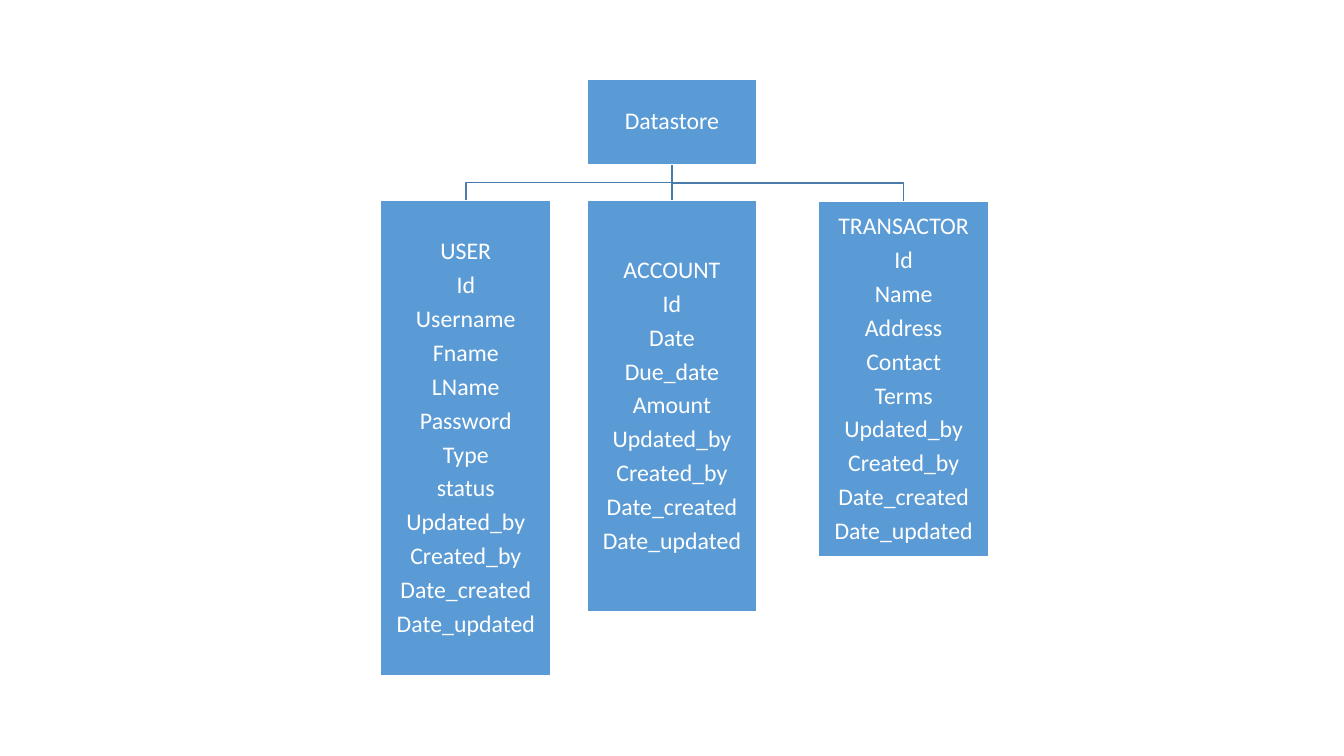
"""Build a slide showing a datastore and the fields of its three tables."""
from dataclasses import dataclass

from lxml import etree
from pptx import Presentation
from pptx import util as u
from pptx.dml.color import RGBColor
from pptx.enum import shapes, text
from pptx.oxml import ns
from pptx.slide import Slide

BLUE = RGBColor(0x5B, 0x9B, 0xD5)
LINK_BLUE = RGBColor(0x49, 0x7C, 0xAB)
WHITE = RGBColor(0xFF, 0xFF, 0xFF)
BOX_WIDTH = 121.5
INSET = u.Pt(0.85)
AUDIT_FIELDS = ("Updated_by", "Created_by", "Date_created", "Date_updated")


@dataclass(frozen=True)
class Entity:
    left: float
    top: float
    height: float
    lines: tuple[str, ...]

    @property
    def center(self) -> float:
        return self.left + BOX_WIDTH / 2

    @property
    def bottom(self) -> float:
        return self.top + self.height


DATASTORE = Entity(419.25, 57, 60.5, ("Datastore",))
USER = Entity(272, 143.3, 339.7, (
    "USER", "Id", "Username", "Fname", "LName", "Password", "Type", "status", *AUDIT_FIELDS))
ACCOUNT = Entity(419.25, 143.3, 293.7, (
    "ACCOUNT", "Id", "Date", "Due_date", "Amount", *AUDIT_FIELDS))
TRANSACTOR = Entity(584.75, 144, 254, (
    "TRANSACTOR", "Id", "Name", "Address", "Contact", "Terms", *AUDIT_FIELDS))


def draw_link(page: Slide, parent: Entity, child: Entity) -> None:
    """Join a parent to a child, bending halfway when they are not aligned."""
    start = (u.Pt(parent.center), u.Pt(parent.bottom))
    end = (u.Pt(child.center), u.Pt(child.top))
    if parent.center == child.center:
        link = page.shapes.add_connector(shapes.MSO_CONNECTOR.STRAIGHT, *start, *end)
        etree.SubElement(link._element.spPr, ns.qn("a:effectLst"))
    else:
        bend = u.Pt((parent.bottom + child.top) / 2)
        builder = page.shapes.build_freeform(*start)
        builder.add_line_segments([(start[0], bend), (end[0], bend), end], close=False)
        link = builder.convert_to_shape()
        link.fill.background()
        link.shadow.inherit = False
    link.line.color.rgb = LINK_BLUE
    link.line.width = u.Pt(1)


def draw_entity(page: Slide, entity: Entity) -> None:
    """Draw a box with its lines of text centred inside."""
    box = page.shapes.add_shape(
        shapes.MSO_SHAPE.RECTANGLE,
        u.Pt(entity.left), u.Pt(entity.top), u.Pt(BOX_WIDTH), u.Pt(entity.height))
    box.shadow.inherit = False
    box.fill.solid()
    box.fill.fore_color.rgb = BLUE
    box.line.color.rgb = WHITE
    box.line.width = u.Pt(1)
    frame = box.text_frame
    frame.word_wrap = True
    frame.vertical_anchor = text.MSO_ANCHOR.MIDDLE
    frame.margin_left = frame.margin_right = INSET
    frame.margin_top = frame.margin_bottom = INSET
    frame.text = "\n".join(entity.lines)
    for para in frame.paragraphs:
        para.alignment = text.PP_ALIGN.CENTER
        para.line_spacing = 0.9
        para.space_after = u.Pt(5.8)
        para.font.name = "Calibri"
        para.font.size = u.Pt(17)
        para.font.color.rgb = WHITE


def main() -> None:
    """Build and save the deck."""
    deck = Presentation()
    deck.slide_width, deck.slide_height = u.Pt(960), u.Pt(540)
    page = deck.slides.add_slide(deck.slide_layouts[6])
    for child in (TRANSACTOR, ACCOUNT, USER):
        draw_link(page, DATASTORE, child)
    for entity in (DATASTORE, USER, ACCOUNT, TRANSACTOR):
        draw_entity(page, entity)
    deck.save("out.pptx")


main()
